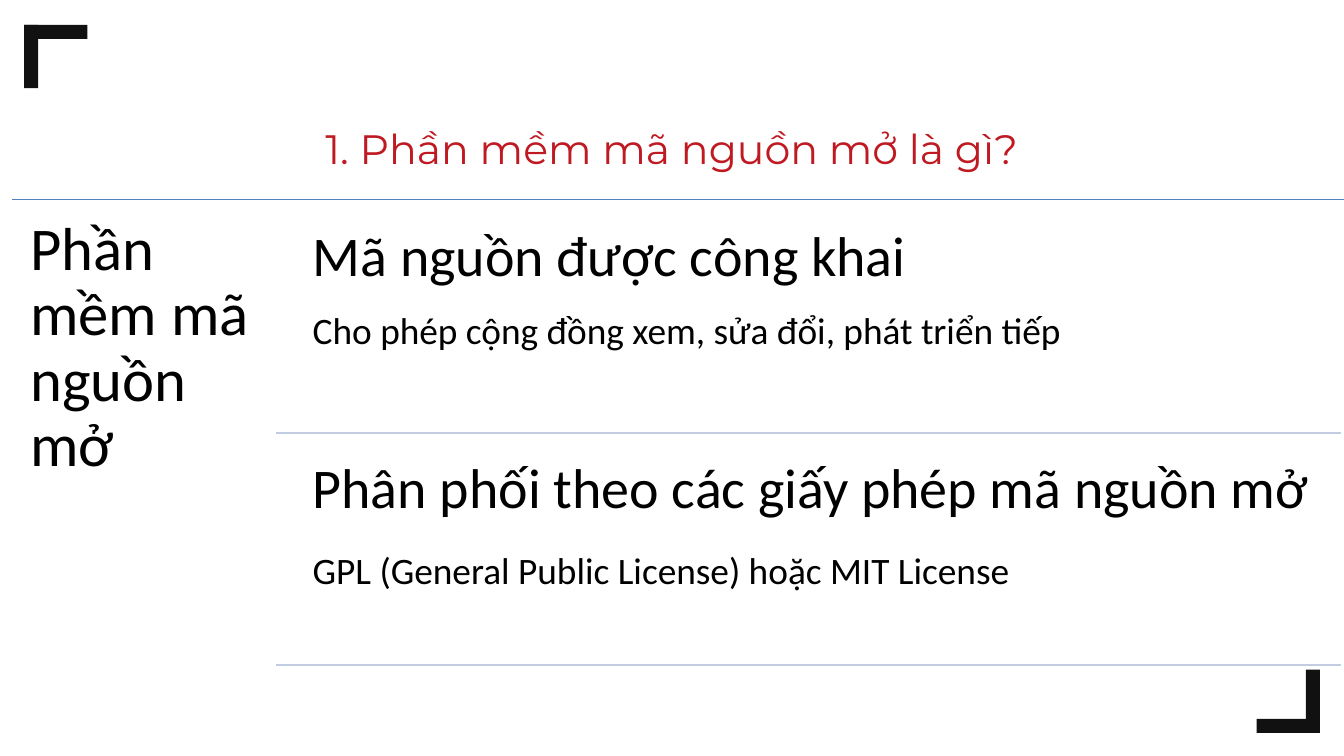
import pptx
import pptx.dml.color
import pptx.enum.shapes
import pptx.enum.text
import pptx.oxml
import pptx.util

Cm = pptx.util.Cm
Pt = pptx.util.Pt

TITLE = "1. Phần mềm mã nguồn mở là gì?"
TOPIC = "Phần mềm mã nguồn mở"
# heading, detail, points between them
SECTIONS = [
    ("Mã nguồn được công khai",
     "Cho phép cộng đồng xem, sửa đổi, phát triển tiếp", 25),
    ("Phân phối theo các giấy phép mã nguồn mở",
     "GPL (General Public License) hoặc MIT License", 33),
]
COLORS = {"title": "BF1922", "text": "000000", "bracket": "111111",
          "top_rule": "4F81BD", "section_rule": "C2CDE1"}

SLIDE_WIDTH, SLIDE_HEIGHT = 50.8, 28.58
RULE_TOP = 7.54
TOPIC_LEFT, TOPIC_WIDTH = 0.46, 9.98
SECTION_LEFT, SECTION_WIDTH, SECTION_HEIGHT = 11.18, 39.52, 8.38
SECTION_TOP, SECTION_PITCH = 7.98, 8.79
BAR_LENGTH, BAR_THICKNESS = 2.39, 0.53
BRACKET_LEFT, BRACKET_TOP = 0.91, 0.94
BRACKET_RIGHT, BRACKET_BOTTOM = 49.89, 27.71


def color(name):
    return pptx.dml.color.RGBColor.from_string(COLORS[name])


def add_run(paragraph, text, size, font_name, color_name):
    run = paragraph.add_run()
    run.text = text
    run.font.size = Pt(size)
    run.font.name = font_name
    run.font.color.rgb = color(color_name)


def set_frame(frame, inset):
    frame.word_wrap = True
    frame.auto_size = pptx.enum.text.MSO_AUTO_SIZE.NONE
    frame.vertical_anchor = pptx.enum.text.MSO_ANCHOR.TOP
    frame.margin_left = frame.margin_right = Cm(inset)
    frame.margin_top = frame.margin_bottom = Cm(inset)


def add_text(slide, box, inset, lines):
    """Add a text box; each line is (text, size, space after)."""
    frame = slide.shapes.add_textbox(*map(Cm, box)).text_frame
    set_frame(frame, inset)
    for index, (text, size, gap) in enumerate(lines):
        paragraph = frame.add_paragraph() if index else frame.paragraphs[0]
        paragraph.line_spacing = 0.9
        paragraph.space_after = Pt(gap)
        add_run(paragraph, text, size, "Calibri", "text")


def add_rule(slide, left, right, top, color_name):
    rule = slide.shapes.add_connector(
        pptx.enum.shapes.MSO_CONNECTOR.STRAIGHT,
        Cm(left), Cm(top), Cm(right), Cm(top))
    rule.line.color.rgb = color(color_name)
    rule.line.width = Pt(2)
    properties = rule._element.spPr
    properties.append(pptx.oxml.parse_xml(
        '<a:effectLst xmlns:a="http://schemas.openxmlformats.org/drawingml/2006/main"/>'))


def add_bar(slide, *box):
    bar = slide.shapes.add_shape(
        pptx.enum.shapes.MSO_SHAPE.RECTANGLE, *map(Cm, box))
    bar.shadow.inherit = False
    bar.fill.solid()
    bar.fill.fore_color.rgb = color("bracket")
    bar.line.fill.background()


def add_title(slide):
    title = slide.shapes.title
    title.left, title.top = Cm(0), Cm(4.72)
    title.width, title.height = Cm(SLIDE_WIDTH), Cm(1.85)
    set_frame(title.text_frame, 0)
    paragraph = title.text_frame.paragraphs[0]
    paragraph.alignment = pptx.enum.text.PP_ALIGN.CENTER
    paragraph.line_spacing = Pt(51.8)
    add_run(paragraph, TITLE, 44, "Montserrat", "title")


def add_brackets(slide):
    corners = [
        (BRACKET_LEFT, BRACKET_TOP, BRACKET_LEFT, BRACKET_TOP),
        (BRACKET_RIGHT - BAR_LENGTH, BRACKET_BOTTOM - BAR_THICKNESS,
         BRACKET_RIGHT - BAR_THICKNESS, BRACKET_BOTTOM - BAR_LENGTH),
    ]
    for flat_left, flat_top, upright_left, upright_top in corners:
        add_bar(slide, flat_left, flat_top, BAR_LENGTH, BAR_THICKNESS)
        add_bar(slide, upright_left, upright_top, BAR_THICKNESS, BAR_LENGTH)


def add_sections(slide):
    add_rule(slide, TOPIC_LEFT, SLIDE_WIDTH, RULE_TOP, "top_rule")
    add_text(slide, (TOPIC_LEFT, RULE_TOP, TOPIC_WIDTH, 18.01), 0.69,
             [(TOPIC, 65, 0)])
    for index, (heading, detail, gap) in enumerate(SECTIONS):
        top = SECTION_TOP + index * SECTION_PITCH
        add_text(slide, (SECTION_LEFT, top, SECTION_WIDTH, SECTION_HEIGHT),
                 0.64, [(heading, 60, gap), (detail, 40, 0)])
        add_rule(slide, TOPIC_LEFT + TOPIC_WIDTH, SECTION_LEFT + SECTION_WIDTH,
                 top + SECTION_HEIGHT, "section_rule")


def main():
    presentation = pptx.Presentation()
    presentation.slide_width = Cm(SLIDE_WIDTH)
    presentation.slide_height = Cm(SLIDE_HEIGHT)
    slide = presentation.slides.add_slide(presentation.slide_layouts[5])
    add_title(slide)
    add_brackets(slide)
    add_sections(slide)
    presentation.save("out.pptx")


if __name__ == "__main__":
    main()
